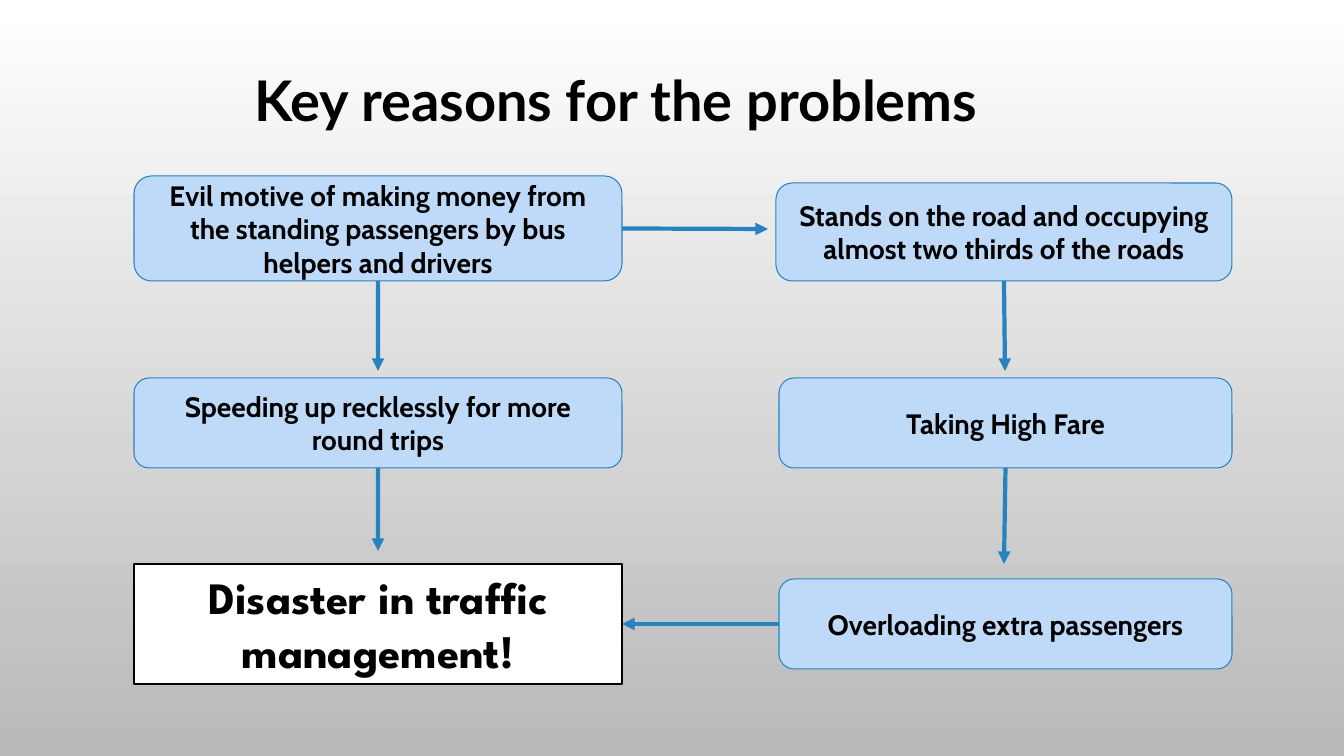
from pptx import Presentation
from pptx.dml.color import RGBColor
from pptx.enum.shapes import MSO_CONNECTOR, MSO_SHAPE
from pptx.enum.text import MSO_ANCHOR as ANCHOR, MSO_AUTO_SIZE, PP_ALIGN as ALIGN
from pptx.oxml.ns import qn
from pptx.util import Pt
from lxml.etree import SubElement

PX = 914400 / 100.8
BLACK = RGBColor(0x00, 0x00, 0x00)
WHITE = RGBColor(0xFF, 0xFF, 0xFF)
GREY = RGBColor(0xB9, 0xB9, 0xB9)
PALE_BLUE = RGBColor(0xBF, 0xDA, 0xF9)
BLUE = RGBColor(0x26, 0x83, 0xBF)
TOP, LEFT, BOTTOM, RIGHT = range(4)


def px(*values):
    return [round(v * PX) for v in values]


def write(sp, text, font, size, align=ALIGN.CENTER, anchor=ANCHOR.MIDDLE):
    tf = sp.text_frame
    tf.word_wrap = True
    tf.vertical_anchor = anchor
    p = tf.paragraphs[0]
    p.alignment = align
    r = p.add_run()
    r.text = text
    r.font.name = font
    r.font.size = Pt(size)
    r.font.bold = True
    r.font.color.rgb = BLACK


prs = Presentation()
prs.slide_width, prs.slide_height = px(1344, 756)
s = prs.slides.add_slide(prs.slide_layouts[5])

fill = s.background.fill
fill.gradient()
fill.gradient_angle = 270
for stop, position, color in zip(fill.gradient_stops, (0, 1), (WHITE, GREY)):
    stop.position = position
    stop.color.rgb = color

title = s.shapes.title
title.left, title.top, title.width, title.height = px(244, 60, 920, 78)
write(title, "Key reasons for the problems", "Lato", 40, ALIGN.LEFT, ANCHOR.TOP)
title.text_frame.auto_size = MSO_AUTO_SIZE.SHAPE_TO_FIT_TEXT

reasons = {
    "motive": (134, 176, 488, 105, "Evil motive of making money from the standing passengers by bus helpers and drivers"),
    "overloading": (779, 579, 453, 90, "Overloading extra passengers"),
    "standing": (776, 183, 456, 98, "Stands on the road and occupying almost two thirds of the roads"),
    "fare": (779, 378, 453, 90, "Taking High Fare"),
    "speeding": (134, 378, 488, 90, "Speeding up recklessly for more round trips"),
    "disaster": (134, 564, 488, 120, "Disaster in traffic management!"),
}
boxes = {}
for name, (x, y, w, h, text) in reasons.items():
    if name == "disaster":
        kind, color, edge, weight, font, size = MSO_SHAPE.RECTANGLE, WHITE, BLACK, 1.25, "League Spartan", 32
    else:
        kind, color, edge, weight, font, size = MSO_SHAPE.ROUNDED_RECTANGLE, PALE_BLUE, BLUE, 0.75, "Cabin", 20
    sp = s.shapes.add_shape(kind, *px(x, y, w, h))
    sp.shadow.inherit = False
    sp.fill.solid()
    sp.fill.fore_color.rgb = color
    sp.line.color.rgb = edge
    sp.line.width = Pt(weight)
    write(sp, text, font, size)
    boxes[name] = sp

arrows = [
    ("motive", RIGHT, 768, 229),
    ("standing", BOTTOM, 1005, 371),
    ("fare", BOTTOM, 1004, 564),
    ("overloading", LEFT, 622, 624),
    ("motive", BOTTOM, 378, 371),
    ("speeding", BOTTOM, 378, 551),
]
for name, side, x, y in arrows:
    arrow = s.shapes.add_connector(MSO_CONNECTOR.STRAIGHT, *px(x, y, x, y))
    arrow.begin_connect(boxes[name], side)
    if name == "overloading":
        arrow.end_connect(boxes["disaster"], RIGHT)
    arrow.line.color.rgb = BLUE
    arrow.line.width = Pt(3)
    SubElement(arrow.line._get_or_add_ln(), qn("a:tailEnd"), type="triangle")
    SubElement(arrow._element.spPr, qn("a:effectLst"))

prs.save("out.pptx")
